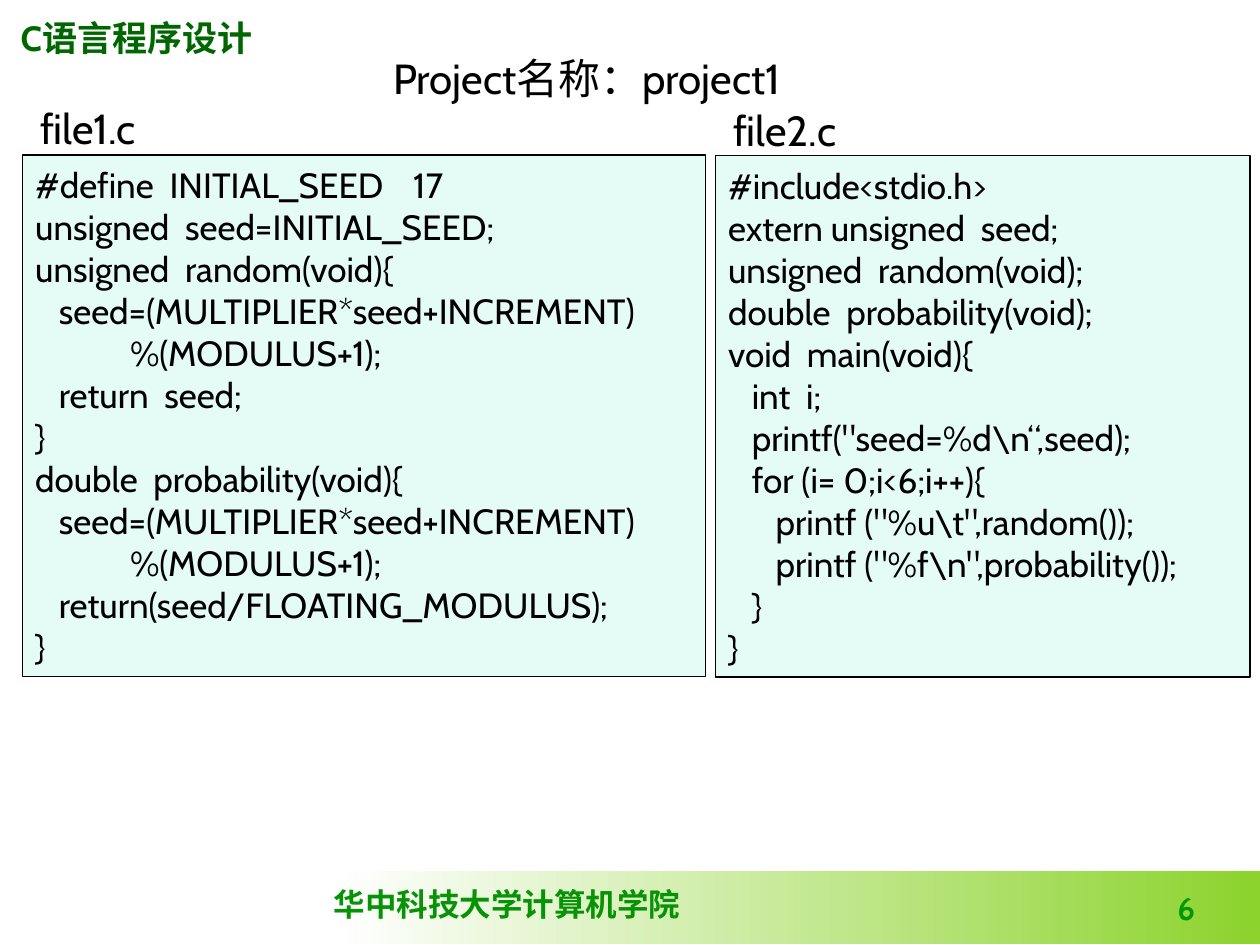
from dataclasses import dataclass

from lxml.etree import SubElement as Sub
from pptx import Presentation
from pptx.dml.color import RGBColor as RGB
from pptx.enum.shapes import MSO_SHAPE as Shape
from pptx.enum.text import MSO_ANCHOR as Anchor, PP_ALIGN as Align
from pptx.oxml.ns import qn
from pptx.util import Pt


@dataclass(frozen=True)
class Theme:
    ink: RGB = RGB(0, 0, 0)
    course: RGB = RGB(0x00, 0x66, 0x00)
    school: RGB = RGB(0x06, 0x94, 0x06)
    number: RGB = RGB(0x00, 0x99, 0x00)
    code_fill: RGB = RGB(0x00, 0xE4, 0xA8)
    band_from: RGB = RGB(0xFF, 0xFF, 0xFF)
    band_to: RGB = RGB(0x8C, 0xD3, 0x2D)
    font: str = "Cabin"
    serif: str = "Times New Roman"
    heading: int = 24
    code: int = 20
    footer: int = 18


@dataclass(frozen=True)
class CodeFile:
    name: str
    name_box: tuple[float, float, float, float]
    code_box: tuple[float, float, float, float]
    lines: list[tuple[int, str]]  # indent in characters, code


T = Theme()
SPACE = 4.52  # width of one space in the code font
VALUE_TAB = 235  # where the value of a #define starts

STEP = [(3, "seed=(MULTIPLIER*seed+INCREMENT)"), (12, "%(MODULUS+1);")]

FILES = [
    CodeFile("file1.c", (15.8, 54.7, 85, 36), (13, 88.6, 390.2, 298), [
        (0, "#define  INITIAL_SEED\t17"),
        (0, "unsigned  seed=INITIAL_SEED;"),
        (0, "unsigned  random(void){"),
        *STEP,
        (3, "return  seed;"),
        (0, "}"),
        (0, "double  probability(void){"),
        *STEP,
        (3, "return(seed/FLOATING_MODULUS);"),
        (0, "}"),
    ]),
    CodeFile("file2.c", (411.8, 56.2, 85, 36), (409, 88.9, 305.3, 298), [
        (0, "#include<stdio.h>"),
        (0, "extern unsigned  seed;"),
        (0, "unsigned  random(void);"),
        (0, "double  probability(void);"),
        (0, "void  main(void){"),
        (3, "int  i;"),
        (3, 'printf("seed=%d\\n“,seed);'),
        (3, "for (i= 0;i<6;i++){"),
        (6, 'printf ("%u\\t",random());'),
        (6, 'printf ("%f\\n",probability());'),
        (3, "}"),
        (0, "}"),
    ]),
]


def write(p, text: str, *, size=T.heading, color=T.ink, font=T.font,
          bold=False, align=Align.LEFT) -> None:
    """Add one formatted run to a paragraph."""
    p.alignment = align
    r = p.add_run()
    r.text = text
    r.font.size, r.font.name, r.font.bold = Pt(size), font, bold
    r.font.color.rgb = color


def add_text(slide, box, text="", *, anchor=Anchor.MIDDLE, wrap=False, **fmt):
    """Add a text box and return its first paragraph."""
    tf = slide.shapes.add_textbox(*map(Pt, box)).text_frame
    tf.word_wrap, tf.vertical_anchor = wrap, anchor
    p = tf.paragraphs[0]
    if text:
        write(p, text, **fmt)
    return p


def add_rect(slide, box):
    sp = slide.shapes.add_shape(Shape.RECTANGLE, *map(Pt, box))
    sp.shadow.inherit = False
    return sp


def add_code(slide, file: CodeFile) -> None:
    """Draw a file name above its framed listing."""
    add_text(slide, file.name_box, file.name)
    sp = add_rect(slide, file.code_box)
    sp.fill.solid()
    sp.fill.fore_color.rgb = T.code_fill
    Sub(sp.fill._xPr.find(".//" + qn("a:srgbClr")), qn("a:alpha"), val="10000")
    sp.line.color.rgb, sp.line.width = T.ink, Pt(0.75)
    tf = sp.text_frame
    tf.word_wrap, tf.vertical_anchor = False, Anchor.MIDDLE
    for i, (indent, code) in enumerate(file.lines):
        p = tf.add_paragraph() if i else tf.paragraphs[0]
        write(p, code, size=T.code)
        pPr = p._p.get_or_add_pPr()
        pPr.set("marL", str(Pt(indent * SPACE)))
        pPr.set("indent", "0")
        if "\t" in code:
            Sub(Sub(pPr, qn("a:tabLst")), qn("a:tab"), pos=str(Pt(VALUE_TAB)), algn="l")


def add_frame(slide) -> None:
    """Draw the footer band, the school, the course and the page number."""
    band = add_rect(slide, (192, 497.5, 528, 42))
    band.line.fill.background()
    band.fill.gradient()
    band.fill.gradient_angle = 0
    for stop, color in zip(band.fill.gradient_stops, (T.band_from, T.band_to)):
        stop.color.rgb = color
    add_text(slide, (183.6, 502, 212.4, 28.8), "华中科技大学计算机学院", anchor=Anchor.TOP,
             size=T.footer, color=T.school, font=T.serif, bold=True)
    course = add_text(slide, (4.7, 5.8, 147.6, 31), anchor=Anchor.TOP, wrap=True)
    for text, font in (("C", T.font), ("语言程序设计", T.serif)):
        write(course, text, size=T.code, color=T.course, font=font, bold=True)
    add_text(slide, (540, 500.4, 150, 33), "6", anchor=Anchor.BOTTOM, wrap=True,
             size=T.footer, color=T.number, bold=True, align=Align.RIGHT)


def add_title(slide, text: str) -> None:
    title = slide.shapes.title
    title.left, title.top, title.width, title.height = map(Pt, (217.4, 26, 256.3, 36.7))
    tf = title.text_frame
    tf.word_wrap, tf.vertical_anchor = False, Anchor.MIDDLE
    write(tf.paragraphs[0], text)


def main() -> None:
    prs = Presentation()
    prs.slide_width, prs.slide_height = Pt(720), Pt(540)
    slide = prs.slides.add_slide(prs.slide_layouts[5])
    add_frame(slide)
    for file in FILES:
        add_code(slide, file)
    add_title(slide, "Project名称：project1")
    prs.save("out.pptx")


if __name__ == "__main__":
    main()
